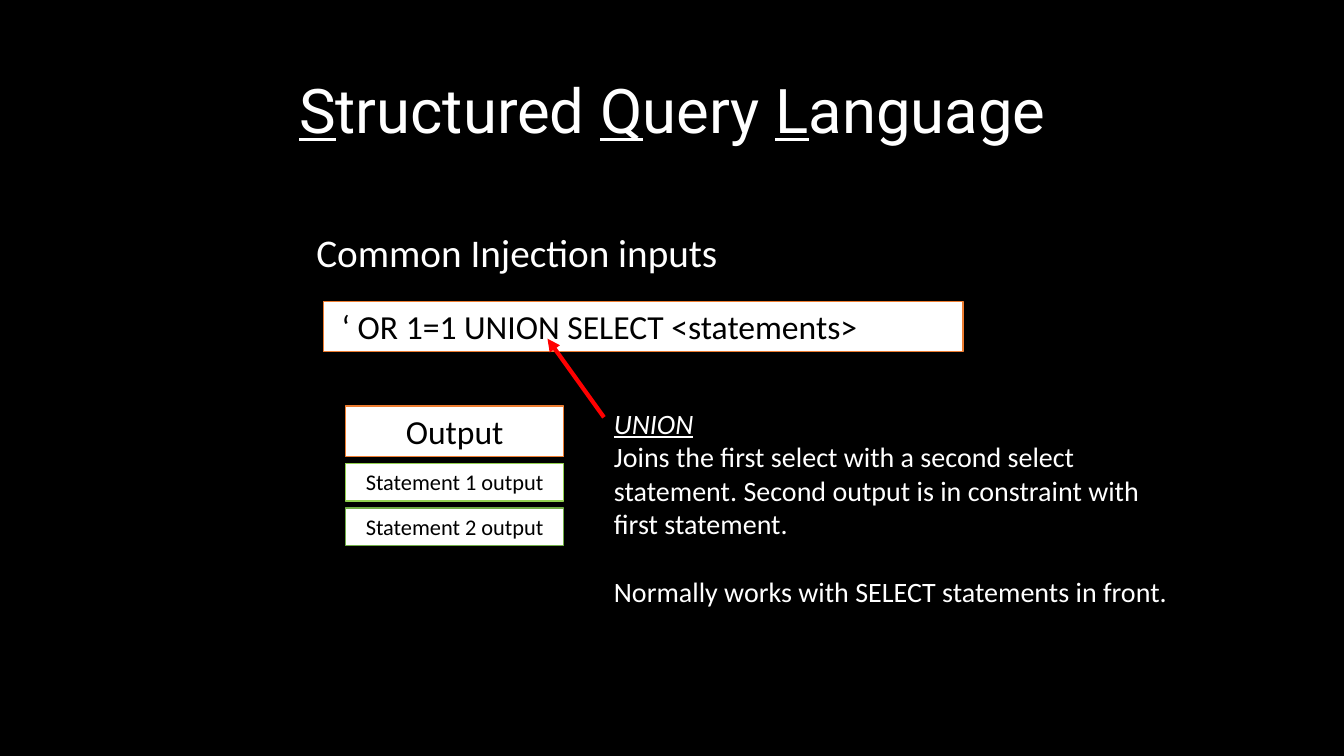
"""Build the slide on UNION-based SQL injection inputs."""
from dataclasses import dataclass

from lxml import etree
from pptx import Presentation
from pptx import util as u
from pptx.dml.color import RGBColor
from pptx.enum import shapes, text
from pptx.oxml import ns

PX = 9144
BLACK, WHITE, RED = "000000", "FFFFFF", "FF0000"
ORANGE, LIME, GREEN = "ED7D31", "92D050", "70AD47"
LEFT, CENTER = text.PP_ALIGN.LEFT, text.PP_ALIGN.CENTER


@dataclass(frozen=True)
class Span:
    text: str
    underline: bool = False
    italic: bool = False


@dataclass(frozen=True)
class Para:
    spans: tuple[Span, ...]
    size: int
    color: str = WHITE
    font: str = "Calibri"
    align: text.PP_ALIGN = LEFT
    line_spacing: float = 1.0
    space_before: int = 0


@dataclass(frozen=True)
class Area:
    left: int
    top: int
    width: int
    height: int

    def emu(self) -> tuple[int, int, int, int]:
        return px(self.left), px(self.top), px(self.width), px(self.height)


@dataclass(frozen=True)
class TextBlock:
    area: Area
    paras: tuple[Para, ...]
    anchor: text.MSO_ANCHOR = text.MSO_ANCHOR.TOP
    inset: int = 5


@dataclass(frozen=True)
class Panel:
    area: Area
    label: str
    size: int
    border: str
    align: text.PP_ALIGN = CENTER
    indent: int = 10


@dataclass(frozen=True)
class Arrow:
    start: tuple[int, int]
    end: tuple[int, int]
    color: str
    weight: int


TITLE = tuple(
    Span(part, underline=len(part) == 1)
    for part in ("S", "tructured ", "Q", "uery ", "L", "anguage")
)
EXPLANATION = (
    "Joins the first select with a second select statement. "
    "Second output is in constraint with first statement."
)
BLOCKS = (
    TextBlock(
        Area(92, 40, 1150, 145),
        (Para(TITLE, 44, font="Roboto", align=CENTER, line_spacing=0.9),),
        anchor=text.MSO_ANCHOR.MIDDLE,
    ),
    TextBlock(
        Area(304, 222, 774, 379),
        (Para((Span("Common Injection inputs"),), 28, line_spacing=0.9),),
        inset=10,
    ),
    TextBlock(
        Area(599, 398, 585, 212),
        (
            Para((Span("UNION", underline=True, italic=True),), 20),
            Para((Span(EXPLANATION),), 20),
            Para((Span("Normally works with SELECT statements in front."),), 20,
                 space_before=24),
        ),
    ),
)
PANELS = (
    Panel(Area(321, 299, 634, 50), "‘ OR 1=1 UNION SELECT <statements>", 24, ORANGE,
          align=LEFT, indent=18),
    Panel(Area(343, 403, 216, 50), "Output", 24, ORANGE),
    Panel(Area(343, 460, 216, 37), "Statement 1 output", 16, LIME),
    Panel(Area(343, 504, 216, 37), "Statement 2 output", 16, GREEN),
)
UNION_ARROW = Arrow((599, 414), (543, 336), RED, 3)


def px(length: int) -> int:
    """Convert px to EMU."""
    return u.Emu(length * PX)


def rgb(color: str) -> RGBColor:
    """Convert a hex string to a colour."""
    return RGBColor.from_string(color)


def write(frame, paras: tuple[Para, ...]) -> None:
    """Fill a text frame with styled paragraphs."""
    frame.word_wrap = True
    for index, para in enumerate(paras):
        paragraph = frame.add_paragraph() if index else frame.paragraphs[0]
        paragraph.alignment = para.align
        paragraph.line_spacing = para.line_spacing
        paragraph.space_before = u.Pt(para.space_before)
        paragraph.font.name = para.font
        paragraph.font.size = u.Pt(para.size)
        paragraph.font.color.rgb = rgb(para.color)
        for span in para.spans:
            run = paragraph.add_run()
            run.text = span.text
            run.font.underline = span.underline
            run.font.italic = span.italic


def draw_block(page, block: TextBlock) -> None:
    """Draw a plain text block."""
    frame = page.shapes.add_textbox(*block.area.emu()).text_frame
    frame.vertical_anchor = block.anchor
    frame.margin_top = frame.margin_bottom = px(block.inset)
    frame.margin_left = frame.margin_right = px(10)
    write(frame, block.paras)


def draw_panel(page, panel: Panel) -> None:
    """Draw a white bordered rectangle with its label."""
    box = page.shapes.add_shape(shapes.MSO_SHAPE.RECTANGLE, *panel.area.emu())
    box.shadow.inherit = False
    box.fill.solid()
    box.fill.fore_color.rgb = rgb(WHITE)
    box.line.color.rgb = rgb(panel.border)
    box.line.width = u.Pt(1)
    frame = box.text_frame
    frame.vertical_anchor = text.MSO_ANCHOR.TOP
    frame.margin_left = px(panel.indent)
    write(frame, (Para((Span(panel.label),), panel.size, BLACK, align=panel.align),))


def draw_arrow(page, arrow: Arrow) -> None:
    """Draw a straight line with a triangle at its end."""
    line = page.shapes.add_connector(
        shapes.MSO_CONNECTOR.STRAIGHT, *map(px, arrow.start + arrow.end)
    )
    line.line.color.rgb = rgb(arrow.color)
    line.line.width = u.Pt(arrow.weight)
    properties = line.element.spPr
    outline = properties.find(ns.qn("a:ln"))
    etree.SubElement(outline, ns.qn("a:tailEnd"), type="triangle")
    etree.SubElement(properties, ns.qn("a:effectLst"))


def main() -> None:
    """Build and save the deck."""
    deck = Presentation()
    deck.slide_width, deck.slide_height = px(1333), px(750)
    page = deck.slides.add_slide(deck.slide_layouts[6])
    page.background.fill.solid()
    page.background.fill.fore_color.rgb = rgb(BLACK)
    for block in BLOCKS:
        draw_block(page, block)
    for panel in PANELS:
        draw_panel(page, panel)
    draw_arrow(page, UNION_ARROW)
    deck.save("out.pptx")


if __name__ == "__main__":
    main()
